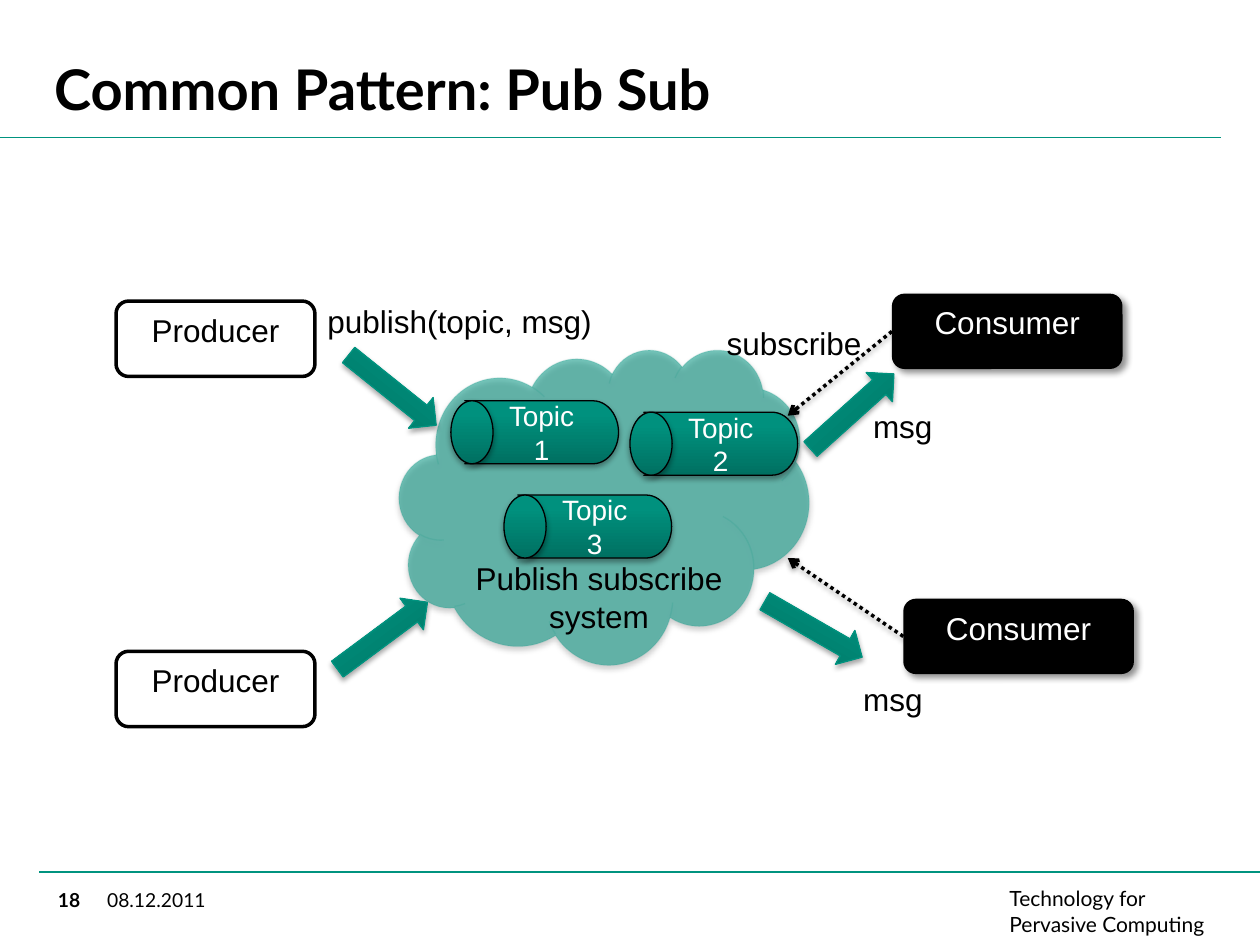
from copy import deepcopy

from pptx import Presentation
from pptx.dml.color import RGBColor
from pptx.enum.dml import MSO_LINE
from pptx.enum.shapes import MSO_CONNECTOR, MSO_SHAPE
from pptx.enum.text import MSO_ANCHOR, MSO_AUTO_SIZE, PP_ALIGN
from pptx.oxml.ns import qn
from pptx.util import Cm, Pt
from lxml.etree import SubElement

BLACK = RGBColor(0x00, 0x00, 0x00)
WHITE = RGBColor(0xFF, 0xFF, 0xFF)
TEAL = RGBColor(0x00, 0x96, 0x82)
TEAL_LINE = RGBColor(0x00, 0x93, 0x7F)
GRADIENT = [(0, RGBColor(0x00, 0x70, 0x61)),
            (0.8, RGBColor(0x00, 0x91, 0x7E)),
            (1, RGBColor(0x00, 0x92, 0x7F))]

# Shadows: opacity %, blur pt, distance pt, direction in degrees
SOFT_SHADOW = (35, 3.1, 1.8, 90)
BOX_SHADOW = (43, 4, 3, 45)
LINE_SHADOW = (38, 3.1, 1.6, 90)


def set_alpha(color_element, percent):
    SubElement(color_element, qn("a:alpha"), val=str(percent * 1000))


def add_shadow(effects, opacity, blur, distance, angle):
    shadow = SubElement(effects, qn("a:outerShdw"), blurRad=str(Pt(blur)),
                        dist=str(Pt(distance)), dir=str(angle * 60000),
                        rotWithShape="0")
    set_alpha(SubElement(shadow, qn("a:srgbClr"), val=str(BLACK)), opacity)


def set_text(sp, text, size, color=BLACK, font="Arial", bold=False,
             align=PP_ALIGN.LEFT, anchor=MSO_ANCHOR.TOP):
    tf = sp.text_frame
    tf.text = text
    tf.word_wrap = True
    tf.vertical_anchor = anchor
    for p in tf.paragraphs:
        p.alignment = align
        p.font.name = font
        p.font.size = Pt(size)
        p.font.bold = bold
        p.font.color.rgb = color
    return tf


def no_margins(tf):
    tf.margin_left = tf.margin_top = tf.margin_right = tf.margin_bottom = 0


def add_label(slide, box, text, align=PP_ALIGN.LEFT):
    sp = slide.shapes.add_textbox(*map(Cm, box))
    tf = set_text(sp, text, 18, align=align)
    tf.auto_size = MSO_AUTO_SIZE.SHAPE_TO_FIT_TEXT


def add_footer(slide, box, text, size, bold=False):
    sp = slide.shapes.add_textbox(*map(Cm, box))
    no_margins(set_text(sp, text, size, font="Lato", bold=bold))


def add_solid(shapes, kind, box, fill, line=None, line_width=0.75, shadow=None):
    sp = shapes.add_shape(kind, *map(Cm, box))
    sp.shadow.inherit = False
    if shadow:
        add_shadow(sp._element.spPr.find(qn("a:effectLst")), *shadow)
    sp.fill.solid()
    sp.fill.fore_color.rgb = fill
    if line is None:
        sp.line.fill.background()
    else:
        sp.line.color.rgb = line
        sp.line.width = Pt(line_width)
    return sp


def add_gradient(shapes, kind, box, line):
    sp = add_solid(shapes, kind, box, TEAL, line, shadow=SOFT_SHADOW)
    sp.fill.gradient()
    sp.fill.gradient_angle = 90
    stop_list = sp._element.spPr.find(".//" + qn("a:gsLst"))
    stop_list.insert(1, deepcopy(stop_list[0]))
    for stop, (position, color) in zip(sp.fill.gradient_stops, GRADIENT):
        stop.position = position
        stop.color.rgb = color
    return sp


def add_party(slide, left, top, width, text, fill, color, **style):
    sp = add_solid(slide.shapes, MSO_SHAPE.ROUNDED_RECTANGLE,
                   (left, top, width, 1.52), fill, **style)
    set_text(sp, text, 18, color, align=PP_ALIGN.CENTER)
    return sp


def add_producer(slide, left, top):
    return add_party(slide, left, top, 4.01, "Producer", WHITE, BLACK,
                     line=BLACK, line_width=2)


def add_consumer(slide, left, top):
    return add_party(slide, left, top, 4.65, "Consumer", BLACK, WHITE,
                     shadow=BOX_SHADOW)


def add_cloud(slide):
    sp = add_solid(slide.shapes, MSO_SHAPE.CLOUD, (8.05, 7.04, 8.26, 6.35),
                   TEAL, TEAL_LINE, shadow=SOFT_SHADOW)
    fill_color, line_color = list(sp._element.spPr.iter(qn("a:srgbClr")))[:2]
    set_alpha(fill_color, 53)
    set_alpha(line_color, 13)


def add_topic(slide, left, top, text):
    group = slide.shapes.add_group_shape()
    body = add_gradient(group.shapes, MSO_SHAPE.FLOWCHART_STORED_DATA,
                        (left + 0.28, top, 3.1, 1.27), BLACK)
    body._element.spPr.find(qn("a:xfrm")).set("flipH", "1")
    set_text(body, text, 16, WHITE, align=PP_ALIGN.CENTER,
             anchor=MSO_ANCHOR.MIDDLE)
    add_gradient(group.shapes, MSO_SHAPE.OVAL, (left, top, 0.85, 1.27), BLACK)


def add_block_arrow(slide, left, top, rotation):
    sp = add_gradient(slide.shapes, MSO_SHAPE.RIGHT_ARROW,
                      (left, top, 2.26, 0.79), TEAL_LINE)
    sp.rotation = rotation


def add_line(slide, x1, y1, x2, y2, color, line_width):
    line = slide.shapes.add_connector(MSO_CONNECTOR.STRAIGHT,
                                      *map(Cm, (x1, y1, x2, y2)))
    line.line.color.rgb = color
    line.line.width = Pt(line_width)
    effects = SubElement(line._element.spPr, qn("a:effectLst"))
    return line, effects


def add_subscription(slide, consumer, x, y):
    line, effects = add_line(slide, x, y, x, y, BLACK, 2)
    line.begin_connect(consumer, 1)
    line.line.dash_style = MSO_LINE.ROUND_DOT
    SubElement(line._element.spPr.find(qn("a:ln")), qn("a:tailEnd"),
               type="arrow")
    add_shadow(effects, *LINE_SHADOW)


def add_title(slide, text):
    title = slide.shapes.title
    title.left, title.top = Cm(1.09), Cm(0.91)
    title.width, title.height = Cm(19.2), Cm(1.55)
    tf = set_text(title, text, 32, font="Lato", bold=True,
                  anchor=MSO_ANCHOR.BOTTOM)
    tf.auto_size = MSO_AUTO_SIZE.NONE
    no_margins(tf)


def main():
    prs = Presentation()
    prs.slide_width, prs.slide_height = Cm(25.4), Cm(19.05)
    slide = prs.slides.add_slide(prs.slide_layouts[5])

    # Title, rules and footer
    add_title(slide, "Common Pattern: Pub Sub")
    add_line(slide, 0, 2.77, 24.61, 2.77, TEAL_LINE, 1)
    add_line(slide, 0.79, 17.58, 25.4, 17.58, TEAL_LINE, 1)
    add_footer(slide, (20.35, 17.86, 4.04, 1.07),
               "Technology for Pervasive Computing", 12)
    add_footer(slide, (1.17, 17.91, 0.91, 0.61), "18", 11, bold=True)
    add_footer(slide, (2.16, 17.91, 2.39, 0.99), "08.12.2011", 11)

    # Producers and consumers
    add_producer(slide, 2.34, 6.07)
    add_producer(slide, 2.34, 13.13)
    upper_consumer = add_consumer(slide, 17.98, 5.92)
    lower_consumer = add_consumer(slide, 18.21, 12.07)

    # Publish subscribe system with its topics
    add_cloud(slide)
    topics = [(9.09, 8.08), (12.7, 8.31), (10.16, 9.98)]
    for number, (left, top) in enumerate(topics, 1):
        add_topic(slide, left, top, f"Topic {number}")

    # Message flow and subscriptions
    for left, top, rotation in [(6.78, 7.47, 38.7), (6.58, 12.42, 323.4),
                                (16.05, 7.9, 318), (15.27, 12.29, 29.9)]:
        add_block_arrow(slide, left, top, rotation)
    add_subscription(slide, upper_consumer, 15.88, 8.38)
    add_subscription(slide, lower_consumer, 15.88, 11.25)

    # Labels
    add_label(slide, (14.4, 6.4, 3.38, 1.02), "subscribe")
    add_label(slide, (6.35, 5.97, 5.92, 1.02), "publish(topic, msg)")
    add_label(slide, (9.32, 11.15, 5.51, 1.8), "Publish subscribe\nsystem",
              PP_ALIGN.CENTER)
    add_label(slide, (17.35, 8.08, 2.11, 1.02), "msg")
    add_label(slide, (17.15, 13.59, 2.11, 1.02), "msg")

    prs.save("out.pptx")


if __name__ == "__main__":
    main()
